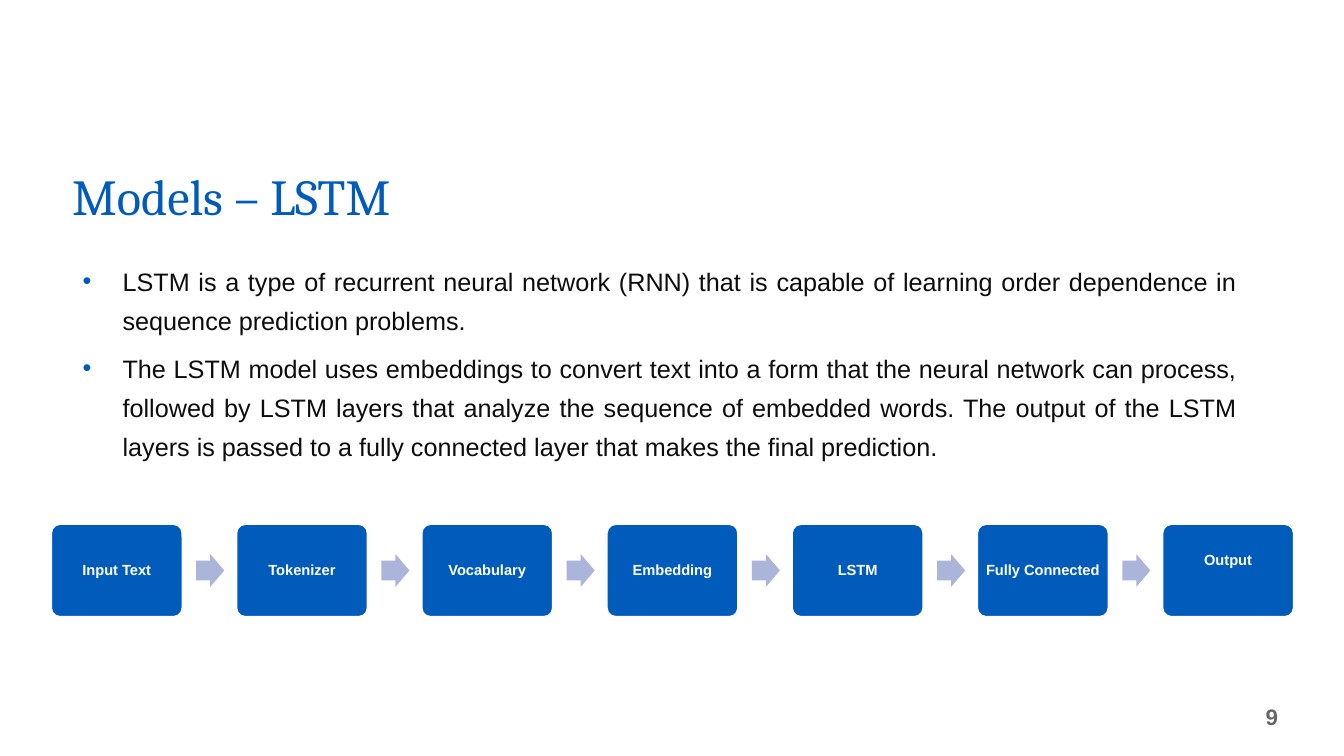
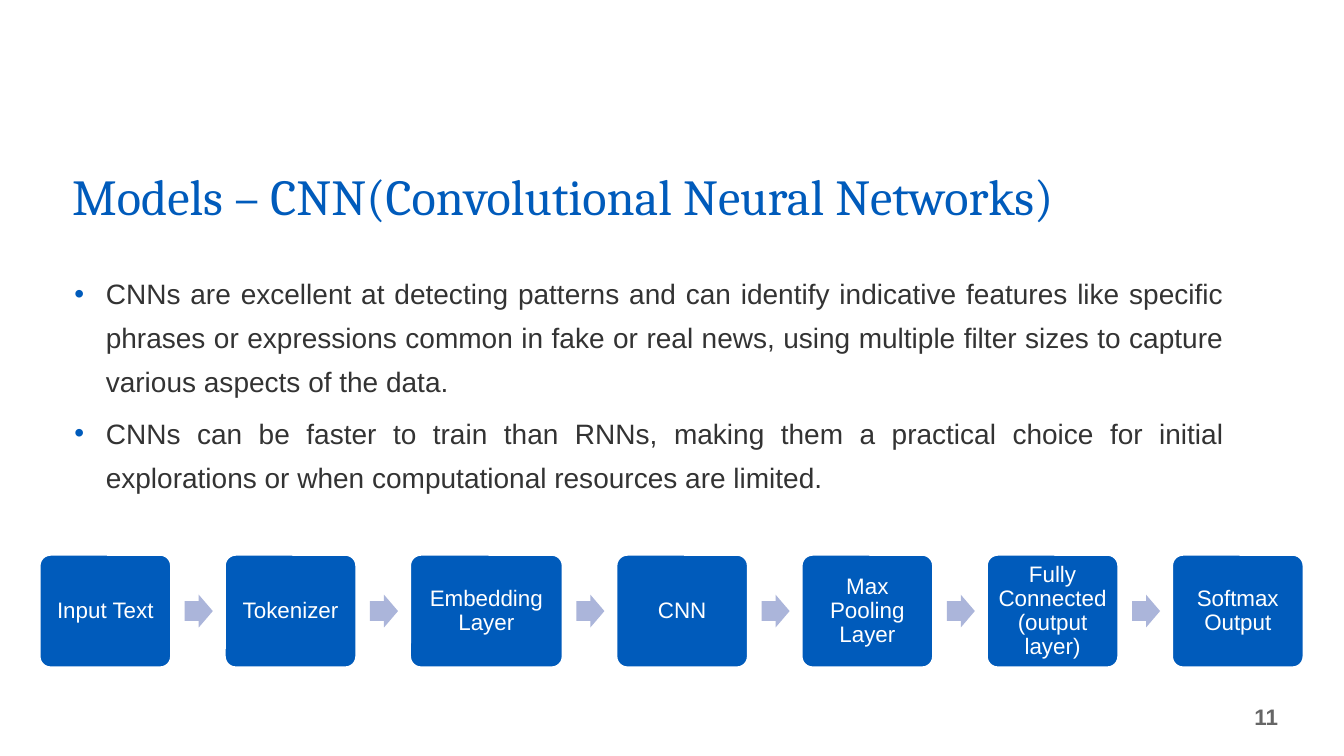
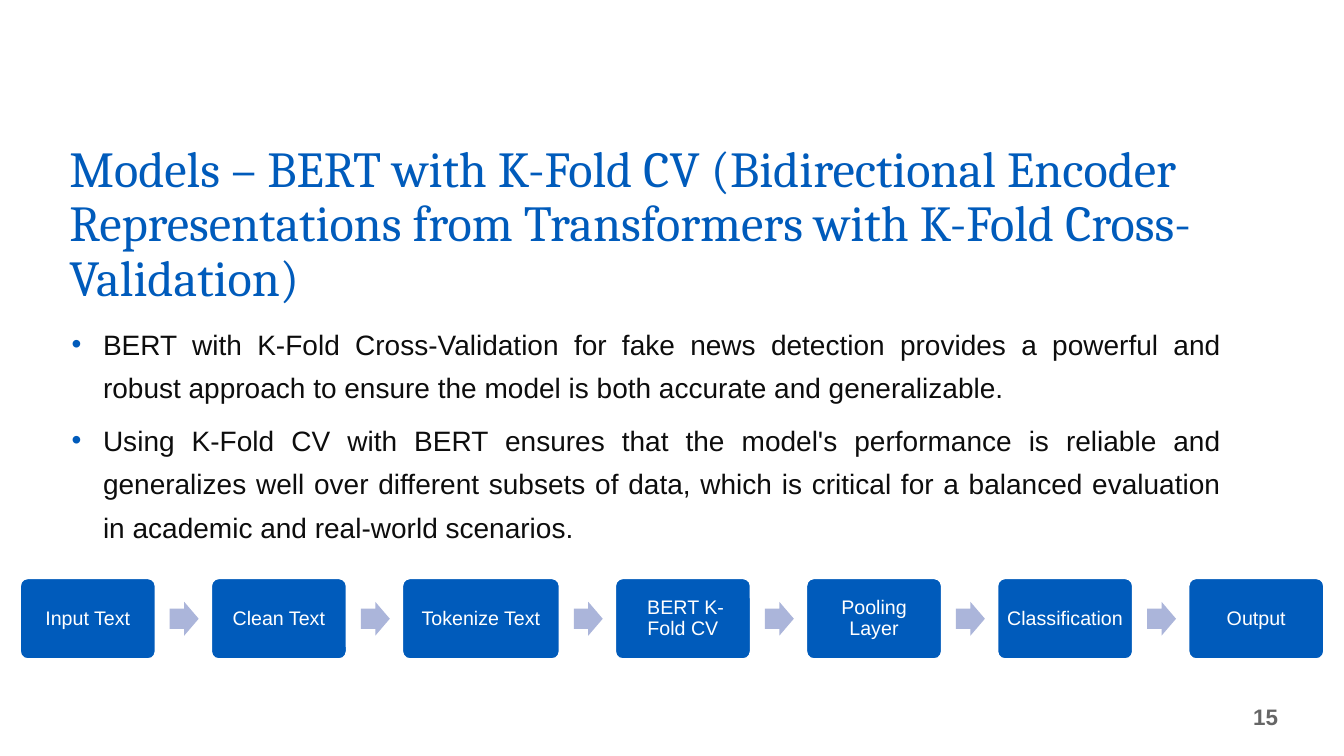
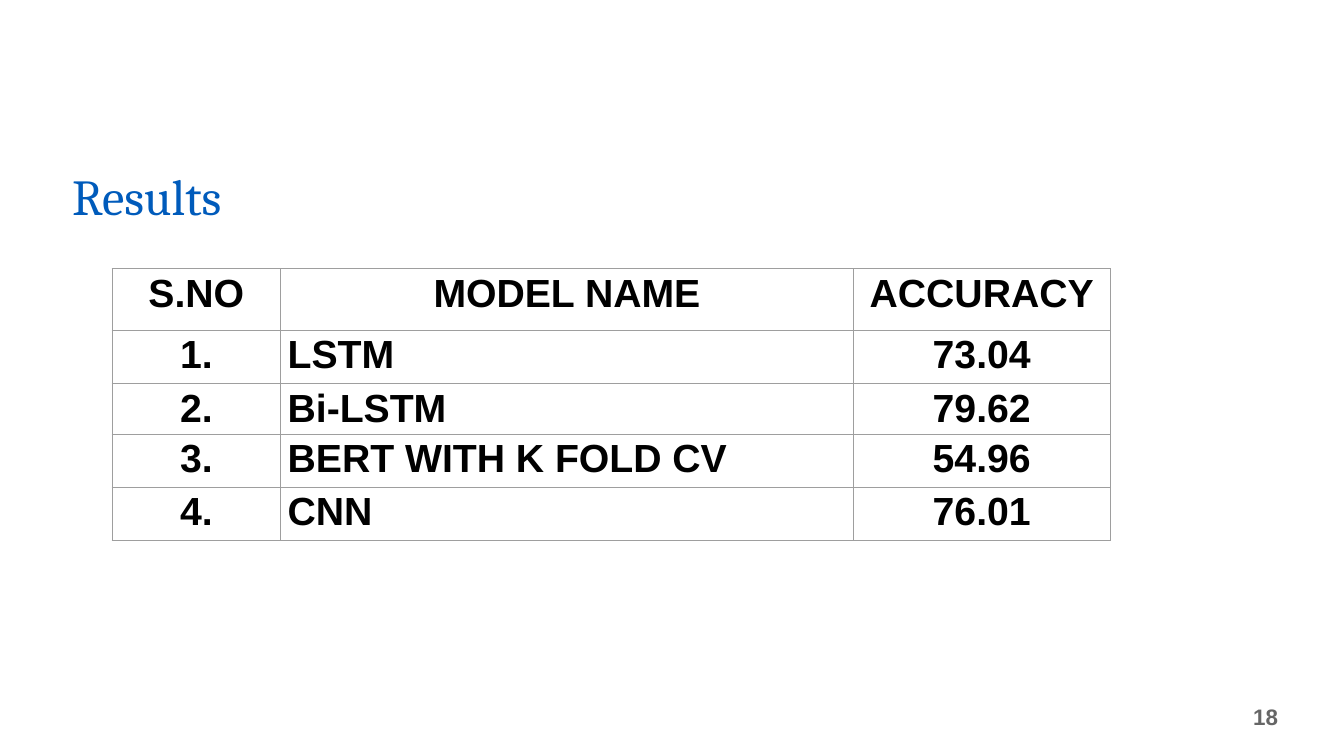
from lxml import etree
from pptx import Presentation
from pptx.dml.color import RGBColor
from pptx.enum.shapes import MSO_SHAPE
from pptx.enum.text import MSO_ANCHOR, PP_ALIGN
from pptx.oxml.ns import qn
from pptx.util import Pt

LEFT, CENTER = PP_ALIGN.LEFT, PP_ALIGN.CENTER
RIGHT, JUSTIFY = PP_ALIGN.RIGHT, PP_ALIGN.JUSTIFY
TOP, MIDDLE, BOTTOM = MSO_ANCHOR.TOP, MSO_ANCHOR.MIDDLE, MSO_ANCHOR.BOTTOM
ROUNDED, ARROW = MSO_SHAPE.ROUNDED_RECTANGLE, MSO_SHAPE.RIGHT_ARROW

BLUE, PALE_BLUE, WHITE = "005BBB", "ABB5DA", "FFFFFF"
BLACK, NEAR_BLACK, CHARCOAL = "000000", "0D0D0D", "333333"
GRAY, BORDER_GRAY = "666666", "9E9E9E"
TITLE_FONT, BODY_FONT = "Cambria", "Arial"


def color(hex_string):
    return RGBColor.from_string(hex_string)


def style_paragraph(para, size, hex_color, align=LEFT, name=BODY_FONT, bold=False, spacing=1.0):
    para.alignment = align
    para.line_spacing = spacing
    font = para.font
    font.name, font.size, font.bold = name, Pt(size), bold
    font.color.rgb = color(hex_color)


def add_bullet(para, indent, hanging):
    properties = para._p.get_or_add_pPr()
    properties.set("marL", str(Pt(indent)))
    properties.set("indent", str(-Pt(hanging)))
    bullet_color = etree.SubElement(properties, qn("a:buClr"))
    etree.SubElement(bullet_color, qn("a:srgbClr"), val=BLUE)
    etree.SubElement(properties, qn("a:buFont"), typeface=BODY_FONT)
    etree.SubElement(properties, qn("a:buChar"), char="•")


def add_borders(cell, hex_color, width):
    properties = cell._tc.get_or_add_tcPr()
    for index, side in enumerate(("lnL", "lnR", "lnT", "lnB")):
        line = etree.Element(qn(f"a:{side}"), w=str(Pt(width)))
        fill = etree.SubElement(line, qn("a:solidFill"))
        etree.SubElement(fill, qn("a:srgbClr"), val=hex_color)
        properties.insert(index, line)


class Slides:
    """The deck, its style and the slide being filled; lengths are in points."""

    def __init__(self):
        self.deck = Presentation()
        self.deck.slide_width, self.deck.slide_height = Pt(960), Pt(540)
        self.page = None

    def add_page(self, title, number, left=44.5, top=118, height=47):
        self.page = self.deck.slides.add_slide(self.deck.slide_layouts[6])
        para = self.text_box(left, top, 828, height, BOTTOM).paragraphs[0]
        para.text = title
        style_paragraph(para, 36, BLUE, name=TITLE_FONT, spacing=0.9)
        para = self.text_box(596, 497.5, 324, 29, MIDDLE).paragraphs[0]
        para.text = str(number)
        style_paragraph(para, 16, GRAY, RIGHT, bold=True)

    def text_box(self, left, top, width, height, anchor=TOP):
        box = self.page.shapes.add_textbox(Pt(left), Pt(top), Pt(width), Pt(height))
        frame = box.text_frame
        frame.word_wrap = True
        frame.vertical_anchor = anchor
        return frame

    def bullets(self, left, top, texts, size, hex_color, indent=33, hanging=22.5):
        frame = self.text_box(left, top, 846, 166)
        for index, text in enumerate(texts):
            para = frame.add_paragraph() if index else frame.paragraphs[0]
            para.text = text
            add_bullet(para, indent, hanging)
            style_paragraph(para, size, hex_color, JUSTIFY, spacing=1.3)
            para.space_before = Pt(6 if index else 0)

    def shape(self, kind, left, top, width, height, fill, adjustments):
        shape = self.page.shapes.add_shape(kind, Pt(left), Pt(top), Pt(width), Pt(height))
        for index, value in enumerate(adjustments):
            shape.adjustments[index] = value
        shape.shadow.inherit = False
        shape.fill.solid()
        shape.fill.fore_color.rgb = color(fill)
        shape.line.fill.background()
        return shape

    def step(self, text, left, top, width, height, size, inset, bold, lift):
        box = self.shape(ROUNDED, left, top, width, height, BLUE, [0.1])
        box.line.color.rgb = color(WHITE)
        box.line.width = Pt(2)
        frame = box.text_frame
        frame.word_wrap = True
        frame.vertical_anchor = MIDDLE
        frame.margin_left = frame.margin_right = frame.margin_top = Pt(inset)
        frame.margin_bottom = Pt(inset + 2 * lift)
        para = frame.paragraphs[0]
        para.text = text
        style_paragraph(para, size, WHITE, CENTER, bold=bold, spacing=0.9)

    def flow(self, left, top, width, height, labels, size, inset,
             bold=False, wide_step=None, lifts=()):
        """Draw a row of steps joined by arrows, all scaled from one step width."""
        lifts = dict(lifts)
        arrow_height = 0.248 * width
        for index, label in enumerate(labels):
            if index:
                self.shape(ARROW, left - 0.3 * width, top + (height - arrow_height) / 2,
                           0.212 * width, arrow_height, PALE_BLUE, [0.6, 0.5])
            step_width = width * (1.16 if index == wide_step else 1)
            self.step(label, left, top, step_width, height, size, inset, bold,
                      lifts.get(label, 0))
            left += step_width + 0.4 * width

    def table(self, left, top, widths, heights, rows, aligns):
        frame = self.page.shapes.add_table(len(rows), len(widths), Pt(left), Pt(top),
                                           Pt(sum(widths)), Pt(sum(heights)))
        table = frame.table
        table.first_row = table.horz_banding = False
        for column, width in zip(table.columns, widths):
            column.width = Pt(width)
        for row, height in zip(table.rows, heights):
            row.height = Pt(height)
        for row_index, texts in enumerate(rows):
            for column_index, text in enumerate(texts):
                cell = table.cell(row_index, column_index)
                cell.fill.background()
                add_borders(cell, BORDER_GRAY, 0.75)
                cell.margin_left = cell.margin_right = Pt(5)
                cell.margin_top = cell.margin_bottom = 0
                para = cell.text_frame.paragraphs[0]
                para.text = text
                align = aligns[column_index] if row_index else CENTER
                style_paragraph(para, 28, BLACK, align, bold=True, spacing=1.07)


def main():
    slides = Slides()

    slides.add_page("Models – LSTM", 9)
    slides.bullets(44.5, 180, [
        "LSTM is a type of recurrent neural network (RNN) that is capable of learning order "
        "dependence in sequence prediction problems.",
        "The LSTM model uses embeddings to convert text into a form that the neural network can "
        "process, followed by LSTM layers that analyze the sequence of embedded words. The output "
        "of the LSTM layers is passed to a fully connected layer that makes the final prediction.",
    ], 18, NEAR_BLACK, indent=36, hanging=28.5)
    slides.flow(36.2, 374, 94.5, 67, [
        "Input Text", "Tokenizer", "Vocabulary", "Embedding", "LSTM", "Fully Connected", "Output",
    ], 10.5, 3.5, bold=True, lifts={"Output": 7})

    slides.add_page("Models – CNN(Convolutional Neural Networks)", 11)
    slides.bullets(35.5, 187, [
        "CNNs are excellent at detecting patterns and can identify indicative features like "
        "specific phrases or expressions common in fake or real news, using multiple filter sizes "
        "to capture various aspects of the data.",
        "CNNs can be faster to train than RNNs, making them a practical choice for initial "
        "explorations or when computational resources are limited.",
    ], 20, CHARCOAL)
    slides.flow(28, 396, 94.5, 81, [
        "Input Text", "Tokenizer", "Embedding Layer", "CNN", "Max Pooling Layer",
        "Fully Connected (output layer)", "Softmax Output",
    ], 16, 5, wide_step=2)

    slides.add_page("Models – BERT with K-Fold CV (Bidirectional Encoder Representations from "
                    "Transformers with K-Fold Cross-Validation)", 15, left=42.5, top=98, height=125)
    slides.bullets(33.5, 223, [
        "BERT with K-Fold Cross-Validation for fake news detection provides a powerful and robust "
        "approach to ensure the model is both accurate and generalizable.",
        "Using K-Fold CV with BERT ensures that the model's performance is reliable and "
        "generalizes well over different subsets of data, which is critical for a balanced "
        "evaluation in academic and real-world scenarios.",
    ], 20, NEAR_BLACK)
    slides.flow(14, 412.7, 97.5, 58.5, [
        "Input Text", "Clean Text", "Tokenize Text", " BERT K-Fold CV", "Pooling Layer",
        "Classification", "Output",
    ], 14, 4.5, wide_step=2)

    slides.add_page("Results", 18)
    slides.table(80, 192, [120.5, 409, 183.5], [44, 38, 36, 38, 38], [
        ("S.NO", "MODEL NAME", "ACCURACY"),
        ("1.", "LSTM", "73.04"),
        ("2.", "Bi-LSTM", "79.62"),
        ("3.", "BERT WITH K FOLD CV", "54.96"),
        ("4.", "CNN", "76.01"),
    ], (CENTER, LEFT, CENTER))

    slides.deck.save("out.pptx")


if __name__ == "__main__":
    main()
